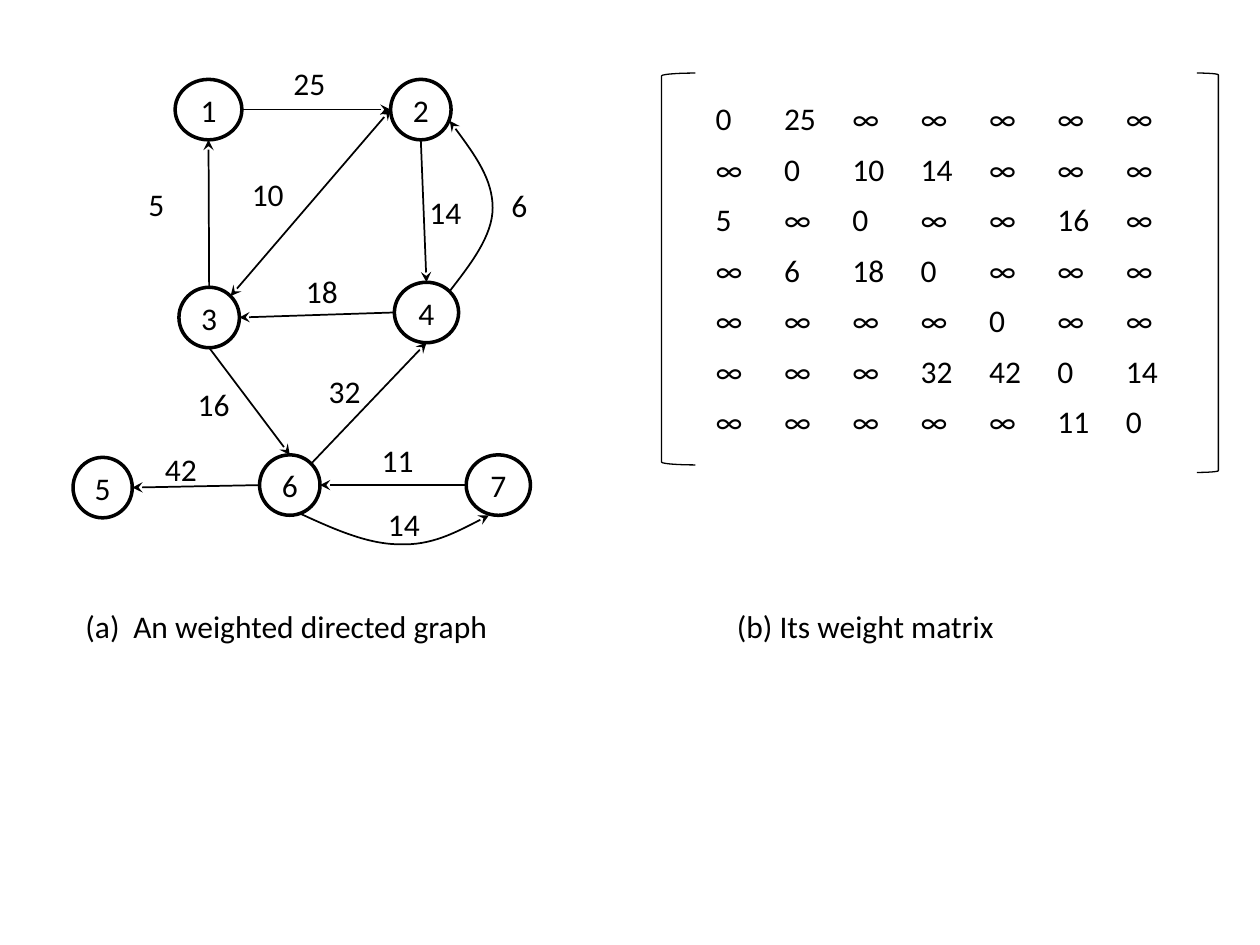
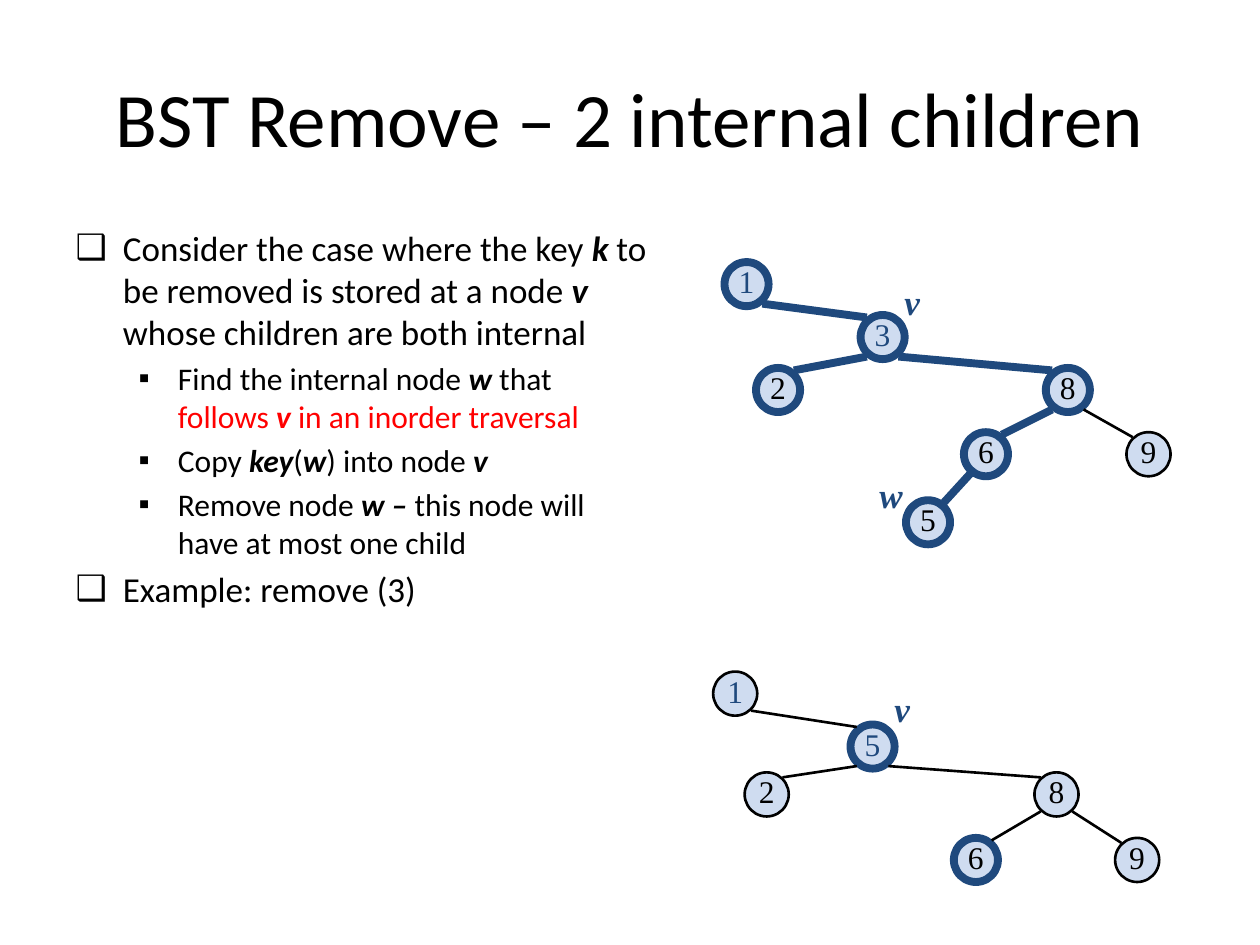
from dataclasses import dataclass

from lxml.etree import SubElement
from pptx import Presentation
from pptx.dml.color import RGBColor
from pptx.enum.shapes import MSO_CONNECTOR as CONNECTOR, MSO_SHAPE as SHAPE
from pptx.enum.text import MSO_ANCHOR as ANCHOR, MSO_AUTO_SIZE as AUTO_SIZE, PP_ALIGN as ALIGN
from pptx.oxml.ns import qn
from pptx.util import Inches, Pt

COLOURS = {"ink": "000000", "mark": "1F497D", "node": "CFDCF0", "alert": "FF0000"}
SANS, SERIF = "Calibri", "Times New Roman"
CELL = Inches(0.1)  # the slide is a grid of 100 columns by 75 rows

# compass directions from a node's centre, as shares of its half size
COMPASS = {"N": (0, -1), "S": (0, 1), "W": (-1, 0), "E": (1, 0), "NE": (0.71, -0.71)}

# number: centre column, centre row, width
GRAPH_NODES = {1: (11.55, 4.7, 5.3), 2: (28.4, 4.7, 4.8), 3: (11.6, 21.2, 4.8),
               4: (28.85, 20.8, 5.1), 5: (3.15, 34.7, 4.7), 6: (18, 34.5, 4.8),
               7: (34.55, 34.5, 5.1)}
# start, side, end, side, arrowheads
GRAPH_EDGES = [(3, "N", 1, "S", ["tail"]), (1, "E", 2, "W", ["tail"]),
               (6, "W", 5, "E", ["tail"]), (4, "W", 3, "E", ["tail"]),
               (6, "NE", 4, "S", ["tail"]), (3, "NE", 2, "W", ["head", "tail"]),
               (2, "S", 4, "N", ["tail"]), (3, "S", 6, "N", ["tail"]),
               (7, "W", 6, "E", ["tail"])]
# start point, then two cubic segments of three points each
GRAPH_CURVES = [
    ("head", [(30.7, 5.6), (32.4, 7.9), (34.1, 10.2), (34.1, 12.5),
              (34.1, 14.7), (32.4, 16.9), (30.7, 19.1)]),
    ("tail", [(18.9, 36.8), (21.5, 38), (24.2, 39.2), (26.7, 39.2),
              (29.2, 39.3), (31.5, 38.1), (33.8, 36.9)]),
]
WEIGHTS = [("25", 17.3, 0.6), ("6", 34.6, 10.3), ("10", 14, 9.4), ("18", 18.3, 17.1),
           ("5", 5.8, 10.2), ("32", 20.1, 25), ("16", 9.7, 26.1), ("11", 24.3, 30.5),
           ("42", 7.1, 31.2), ("14", 28.1, 10.8), ("14", 24.8, 35.6)]
WEIGHT_MATRIX = """
0 25 ∞ ∞ ∞ ∞ ∞
∞ 0 10 14 ∞ ∞ ∞
5 ∞ 0 ∞ ∞ 16 ∞
∞ 6 18 0 ∞ ∞ ∞
∞ ∞ ∞ ∞ 0 ∞ ∞
∞ ∞ ∞ 32 42 0 14
∞ ∞ ∞ ∞ ∞ 11 0
"""

# level and text; *...* is emphasised, text after ~ is red
STEPS = [
    (0, "Consider the case where the key *k* to be removed is stored at a node *v*"
        " whose children are both internal"),
    (1, "Find the internal node *w *that ~follows *v* in an inorder traversal"),
    (1, "Copy *key*(*w*) into node *v*"),
    (1, "Remove node *w – *this node will have at most one child"),
    (0, "Example: remove (3)"),
]
BULLETS = [("❑", 20), ("▪", 18)]

# key: left column, top row
TREE_BEFORE = {3: (10.8, 4.2), 1: (0, 0), 8: (25.5, 8.4), 6: (19, 13.5),
               9: (31.9, 13.5), 5: (14.4, 18.9), 2: (2.5, 8.4)}
TREE_AFTER = {5: (10.9, 4.2), 1: (0, 0), 8: (25.5, 8), 6: (19.1, 13.2),
              9: (31.9, 13.2), 2: (2.5, 8)}


@dataclass
class Region:
    column: float
    row: float

    def point(self, column, row):
        return round((self.column + column) * CELL), round((self.row + row) * CELL)

    def box(self, column, row, width, height):
        return *self.point(column, row), round(width * CELL), round(height * CELL)


def colour(name):
    return RGBColor.from_string(COLOURS[name])


def style_font(font, size, name=SANS, tint="ink"):
    font.size, font.name = Pt(size), name
    font.color.rgb = colour(tint)


def style_line(shape, width, tint="ink", arrowheads=()):
    shape.line.width = Pt(width)
    shape.line.color.rgb = colour(tint)
    line = shape.line._get_or_add_ln()
    for end in sorted(arrowheads):
        SubElement(line, qn(f"a:{end}End"), type="stealth")


def add_line(shapes, start, end, width, tint="ink", arrowheads=()):
    line = shapes.add_connector(CONNECTOR.STRAIGHT, *start, *end)
    style_line(line, width, tint, arrowheads)
    SubElement(line._element.spPr, qn("a:effectLst"))


def add_label(shapes, box, text, size=18, name=SANS, tint="ink", wrap=True):
    frame = shapes.add_textbox(*box).text_frame
    frame.word_wrap = wrap
    paragraph = frame.paragraphs[0]
    paragraph.text = text
    style_font(paragraph.font, size, name, tint)
    return paragraph


def add_node(shapes, box, key, line_width, line_tint, fill=None, name=SANS, tint="ink",
             insets=(0.02, 0.02, 0.02, 0.02), wrap=True):
    node = shapes.add_shape(SHAPE.OVAL, *box)
    node.shadow.inherit = False
    if fill:
        node.fill.solid()
        node.fill.fore_color.rgb = colour(fill)
    else:
        node.fill.background()
    style_line(node, line_width, line_tint)
    frame = node.text_frame
    frame.margin_left, frame.margin_top, frame.margin_right, frame.margin_bottom = map(Inches, insets)
    frame.word_wrap = wrap
    frame.vertical_anchor = ANCHOR.MIDDLE
    paragraph = frame.paragraphs[0]
    paragraph.text = str(key)
    paragraph.alignment = ALIGN.CENTER
    style_font(paragraph.font, 18, name, tint)


def add_curve(shapes, points, arrowhead):
    """Draw cubic segments: every three points after the first make one."""
    builder = shapes.build_freeform(*points[0])
    builder.add_line_segments(points[1:], close=False)
    curve = builder.convert_to_shape()
    curve.shadow.inherit = False
    curve.fill.background()
    style_line(curve, 1, arrowheads=[arrowhead])
    outline = curve._element.find(".//" + qn("a:path"))
    corners = outline.findall(qn("a:lnTo"))
    for first in range(0, len(corners), 3):
        cubic = SubElement(outline, qn("a:cubicBezTo"))
        for corner in corners[first:first + 3]:
            cubic.append(corner[0])
            outline.remove(corner)


def draw_graph(shapes, region):
    height = 4.8
    for key, (column, row, width) in GRAPH_NODES.items():
        box = region.box(column - width / 2, row - height / 2, width, height)
        add_node(shapes, box, key, 2, "ink")

    def rim(key, side):
        column, row, width = GRAPH_NODES[key]
        across, down = COMPASS[side]
        return region.point(column + across * width / 2, row + down * height / 2)

    for start, start_side, end, end_side, arrowheads in GRAPH_EDGES:
        add_line(shapes, rim(start, start_side), rim(end, end_side), 1, arrowheads=arrowheads)
    for arrowhead, points in GRAPH_CURVES:
        add_curve(shapes, [region.point(*point) for point in points], arrowhead)
    for weight, column, row in WEIGHTS:
        add_label(shapes, region.box(column, row, 4.8, 4.2), weight)
    caption = add_label(shapes, region.box(0.8, 43.7, 34.4, 4), "An weighted directed graph")
    properties = caption._p.get_or_add_pPr()
    properties.set("marL", str(Inches(0.38)))
    properties.set("indent", str(-Inches(0.38)))
    properties.insert(0, properties.makeelement(qn("a:buAutoNum"), {"type": "alphaLcParenBoth"}))


def draw_matrix(shapes, region):
    rows = [line.split() for line in WEIGHT_MATRIX.split("\n") if line]
    size = len(rows)
    table = shapes.add_table(size, size, *region.box(3.3, 1.7, 38, 28)).table
    table.first_row = table.horz_banding = False
    for table_row, weights in zip(table.rows, rows):
        for cell, weight in zip(table_row.cells, weights):
            cell.fill.background()
            paragraph = cell.text_frame.paragraphs[0]
            paragraph.text = weight
            style_font(paragraph.font, 18)
    for kind, column, width, height in [(SHAPE.LEFT_BRACKET, 0, 2.7, 31.1),
                                        (SHAPE.RIGHT_BRACKET, 42.5, 1.7, 31.7)]:
        bracket = shapes.add_shape(kind, *region.box(column, 0, width, height))
        bracket.shadow.inherit = False
        bracket.fill.background()
        style_line(bracket, 0.75)
    add_label(shapes, region.box(5, 41.9, 30, 4), "(b) Its weight matrix")


def draw_tree(shapes, region, nodes, edges, marked, blue_keys, labels):
    """Marked nodes, and edges between two of them, are thick and blue."""
    def pen(*keys):
        return (4.5, "mark") if marked.issuperset(keys) else (1.5, "ink")

    def corner(key, across, down):
        column, row = nodes[key]
        reach = 1.55 if key in marked else 1.35
        return region.point(column + 1.75 + 1.25 * across, row + 1.75 + reach * down)

    for key, place in nodes.items():
        add_node(shapes, region.box(*place, 3.5, 3.5), key, *pen(key), fill="node", name=SERIF,
                 tint="mark" if key in blue_keys else "ink", insets=(0, 0, 0, 0.05), wrap=False)
    for parent, child in edges:
        across = 1 if nodes[child][0] > nodes[parent][0] else -1
        add_line(shapes, corner(parent, across, 1), corner(child, -across, -1), *pen(parent, child))
    for text, column, row, width in labels:
        box = region.box(column, row, width, 4.3)
        font = add_label(shapes, box, text, 20, SERIF, "mark", wrap=False).font
        font.bold = font.italic = True


def fill_steps(body):
    frame = body.text_frame
    frame.auto_size = AUTO_SIZE.NONE
    for index, (level, text) in enumerate(STEPS):
        paragraph = frame.add_paragraph() if index else frame.paragraphs[0]
        paragraph.level = level
        if index == 0:
            paragraph.space_before = Pt(0)
        bullet, size = BULLETS[level]
        SubElement(paragraph._p.get_or_add_pPr(), qn("a:buChar"), char=bullet)
        style_font(paragraph.font, size)
        for part, tint in zip(text.split("~"), ("ink", "alert")):
            for position, words in enumerate(part.split("*")):
                if not words:
                    continue
                run = paragraph.add_run()
                run.text = words
                if position % 2:
                    run.font.bold = run.font.italic = True
                if tint != "ink":
                    run.font.color.rgb = colour(tint)


def place(shape, box):
    shape.left, shape.top, shape.width, shape.height = box


def build_graph_slide(presentation):
    shapes = presentation.slides.add_slide(presentation.slide_layouts[6]).shapes
    draw_graph(shapes, Region(5, 4))
    draw_matrix(shapes, Region(52.5, 5.8))


def build_tree_slide(presentation):
    slide = presentation.slides.add_slide(presentation.slide_layouts[1])
    page = Region(0, 0)
    title, body = slide.placeholders
    place(title, page.box(5, 3, 90, 12.5))
    title.text_frame.text = "BST Remove – 2 internal children"
    style_font(title.text_frame.paragraphs[0].font, 44)
    place(body, page.box(5, 17.5, 47.5, 49.5))
    fill_steps(body)
    draw_tree(slide.shapes, Region(57.5, 20.8), TREE_BEFORE,
              [(3, 8), (1, 3), (6, 5), (8, 9), (8, 6), (3, 2)], {1, 2, 3, 5, 6, 8}, {1, 3},
              [("v", 13.3, 1, 3.2), ("w", 11.3, 16.3, 3.9)])
    draw_tree(slide.shapes.add_group_shape().shapes, Region(56.6, 53.3), TREE_AFTER,
              [(5, 8), (1, 5), (8, 9), (8, 6), (5, 2)], {5, 6}, {1, 5},
              [("v", 13.4, 0.8, 3.2)])


def main():
    presentation = Presentation()
    presentation.slide_width, presentation.slide_height = 100 * CELL, 75 * CELL
    build_graph_slide(presentation)
    build_tree_slide(presentation)
    presentation.save("out.pptx")


if __name__ == "__main__":
    main()
